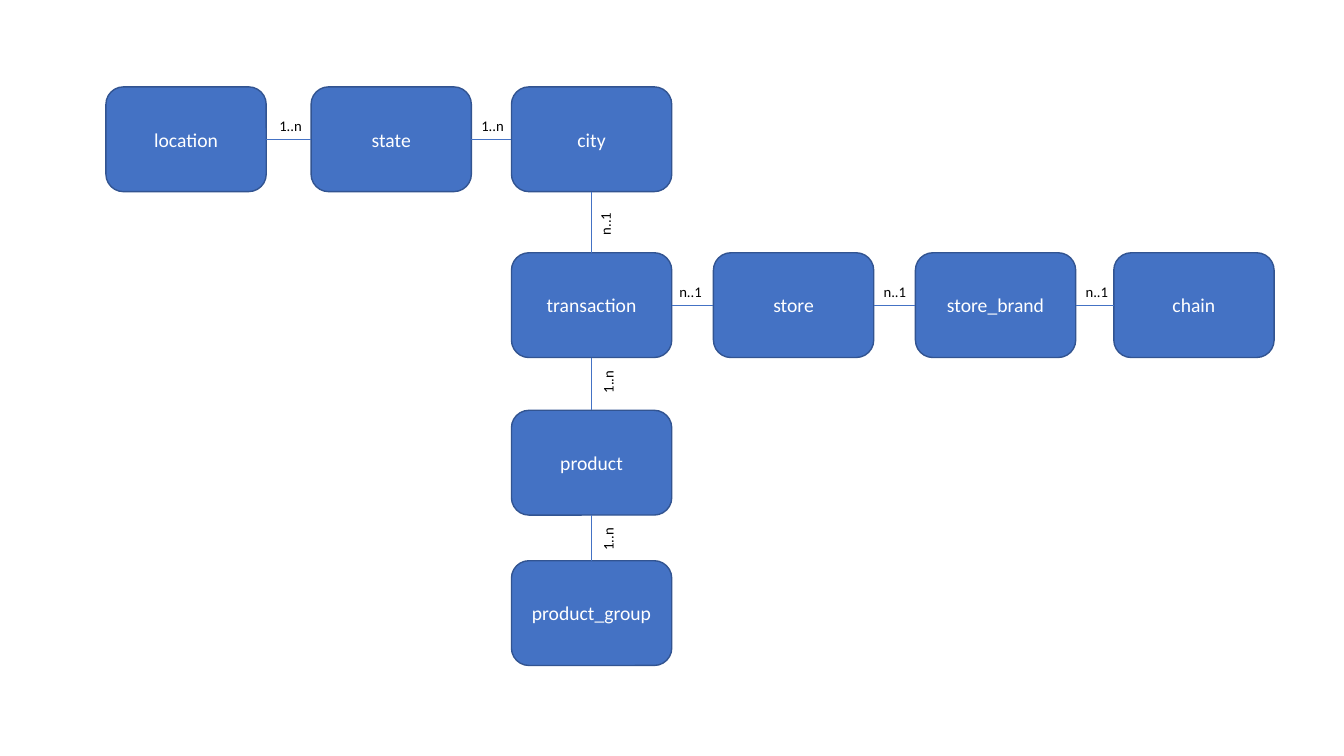
import pptx
import pptx.util
import pptx.dml.color
import pptx.enum.shapes
import pptx.enum.text
import pptx.oxml.ns
import lxml.etree

Cm = pptx.util.Cm
Pt = pptx.util.Pt
RGBColor = pptx.dml.color.RGBColor

BLUE = RGBColor(0x44, 0x72, 0xC4)
NAVY = RGBColor(0x32, 0x54, 0x91)
WHITE = RGBColor(0xFF, 0xFF, 0xFF)
BLACK = RGBColor(0, 0, 0)
FONT = "Calibri"

BOX_W, BOX_H = 4.04, 2.64
LABEL_W, LABEL_H = 2.69, 0.74
TOP, LEFT, BOTTOM, RIGHT = range(4)

# Table name: left and top, in cm from the corner of the diagram
TABLES = {
    "transaction": (10.22, 4.18),
    "city": (10.22, 0),
    "state": (5.17, 0),
    "location": (0, 0),
    "product": (10.22, 8.15),
    "product_group": (10.22, 11.94),
    "store": (15.31, 4.18),
    "store_brand": (20.4, 4.18),
    "chain": (25.4, 4.18),
}

# From, to, label, shift of the label along the line
ACROSS = [
    ("location", "state", "1..n", 0.08),
    ("state", "city", "1..n", 0),
    ("transaction", "store", "n..1", -0.06),
    ("store", "store_brand", "n..1", 0),
    ("store_brand", "chain", "n..1", 0),
]
# From, to, label, shift of the label along and across the line
DOWN = [
    ("city", "transaction", "n..1", 0, 0.36),
    ("transaction", "product", "1..n", -0.2, 0.43),
    ("product", "product_group", "1..n", -0.2, 0.43),
]


def style(par, size, color):
    par.font.name = FONT
    par.font.size = Pt(size)
    par.font.color.rgb = color


def add_box(slide, name, left, top):
    box = slide.shapes.add_shape(
        pptx.enum.shapes.MSO_SHAPE.ROUNDED_RECTANGLE,
        Cm(left), Cm(top), Cm(BOX_W), Cm(BOX_H))
    box.shadow.inherit = False
    box.fill.solid()
    box.fill.fore_color.rgb = BLUE
    box.line.color.rgb = NAVY
    box.line.width = Pt(1)
    frame = box.text_frame
    frame.vertical_anchor = pptx.enum.text.MSO_ANCHOR.MIDDLE
    par = frame.paragraphs[0]
    par.text = name
    par.alignment = pptx.enum.text.PP_ALIGN.CENTER
    style(par, 14, WHITE)
    return box


def add_link(slide, start, start_side, end, end_side):
    link = slide.shapes.add_connector(
        pptx.enum.shapes.MSO_CONNECTOR.STRAIGHT, 0, 0, 0, 0)
    link.begin_connect(start, start_side)
    link.end_connect(end, end_side)
    link.line.color.rgb = BLUE
    link.line.width = Pt(0.5)
    props = link._element.spPr
    lxml.etree.SubElement(props, pptx.oxml.ns.qn("a:effectLst"))


def add_label(slide, text, left, top, turn=0):
    label = slide.shapes.add_textbox(left, top, Cm(LABEL_W), Cm(LABEL_H))
    label.rotation = turn
    frame = label.text_frame
    frame.word_wrap = True
    frame.auto_size = pptx.enum.text.MSO_AUTO_SIZE.SHAPE_TO_FIT_TEXT
    par = frame.paragraphs[0]
    par.text = text
    style(par, 10.5, BLACK)


def link_across(slide, start, end, text, shift):
    add_link(slide, start, RIGHT, end, LEFT)
    add_label(slide, text, start.left + start.width + Cm(shift),
              start.top + start.height // 2 - Cm(0.68))


def link_down(slide, start, end, text, along, aside):
    """Join two boxes downward, with a label that reads upward."""
    add_link(slide, start, BOTTOM, end, TOP)
    mid_x = start.left + start.width // 2 + Cm(aside)
    mid_y = start.top + start.height + Cm(along)
    add_label(slide, text, mid_x - Cm(LABEL_W / 2),
              mid_y - Cm(LABEL_H / 2), 270)


def draw_schema(slide, left, top):
    boxes = {name: add_box(slide, name, left + x, top + y)
             for name, (x, y) in TABLES.items()}
    for start, end, *rest in DOWN:
        link_down(slide, boxes[start], boxes[end], *rest)
    for start, end, *rest in ACROSS:
        link_across(slide, boxes[start], boxes[end], *rest)


def main():
    deck = pptx.Presentation()
    deck.slide_width = Cm(33.87)
    deck.slide_height = Cm(19.05)
    slide = deck.slides.add_slide(deck.slide_layouts[6])
    draw_schema(slide, 2.67, 2.19)
    deck.save("out.pptx")


if __name__ == "__main__":
    main()
